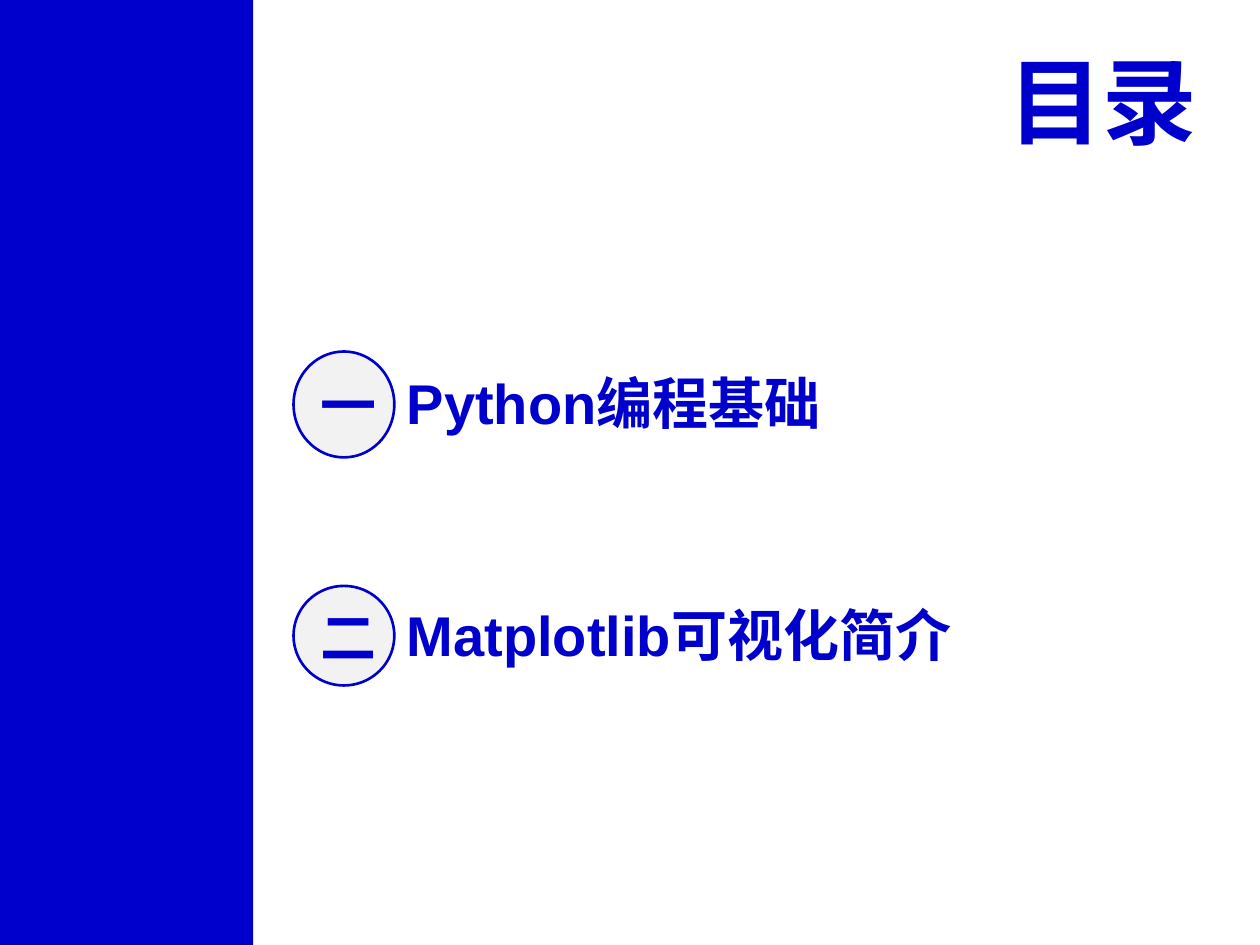
"""Build the contents slide with a blue side band and two numbered topics."""
from lxml.etree import SubElement
from pptx import Presentation
from pptx.dml.color import RGBColor
from pptx.enum.shapes import MSO_SHAPE
from pptx.enum.text import MSO_ANCHOR, MSO_AUTO_SIZE, PP_ALIGN
from pptx.oxml.ns import qn
from pptx.util import Inches, Pt

HUES = {"blue": "0000CC", "pale": "F2F2F2"}
HAN = "Noto Sans CJK SC"


def paint(form, hue):
    form.shadow.inherit = False
    form.fill.solid()
    form.fill.fore_color.rgb = RGBColor.from_string(HUES[hue])


def write(frame, words, size, face, align, anchor):
    frame.text = words
    frame.vertical_anchor = anchor
    para = frame.paragraphs[0]
    para.alignment = align
    font = para.font
    font.name, font.size, font.bold = face, Pt(size), True
    font.color.rgb = RGBColor.from_string(HUES["blue"])
    SubElement(font._element, qn("a:ea")).set("typeface", HAN)


deck = Presentation()
deck.slide_width, deck.slide_height = Inches(10), Inches(7.5)
slide = deck.slides.add_slide(deck.slide_layouts[5])
shapes = slide.shapes

band = shapes.add_shape(MSO_SHAPE.RECTANGLE, 0, 0, Inches(2.01), Inches(7.5))
paint(band, "blue")
band.line.fill.background()

title = shapes.title
title.left, title.top = Inches(7.84), Inches(0.29)
title.width, title.height = Inches(1.76), Inches(1.01)
write(title.text_frame, "目录", 54, "Arial", PP_ALIGN.RIGHT, MSO_ANCHOR.TOP)
title.text_frame.word_wrap = False
title.text_frame.auto_size = MSO_AUTO_SIZE.SHAPE_TO_FIT_TEXT

topics = [
    ("一", "Python编程基础", 2.79, 0.84, 2.87, 6.47),
    ("二", "Matplotlib可视化简介", 4.65, 0.79, 4.71, 6.2),
]
for mark, words, top, high, line, wide in topics:
    disc = shapes.add_shape(MSO_SHAPE.OVAL, Inches(2.33), Inches(top), Inches(0.8), Inches(high))
    paint(disc, "pale")
    disc.line.color.rgb = RGBColor.from_string(HUES["blue"])
    disc.line.width = Pt(1.5)
    write(disc.text_frame, mark, 32, HAN, PP_ALIGN.CENTER, MSO_ANCHOR.MIDDLE)

    label = shapes.add_textbox(Inches(3.13), Inches(line), Inches(wide), Inches(0.64))
    label.text_frame.word_wrap = True
    write(label.text_frame, words, 32, "Arial", PP_ALIGN.LEFT, MSO_ANCHOR.MIDDLE)

deck.save("out.pptx")
